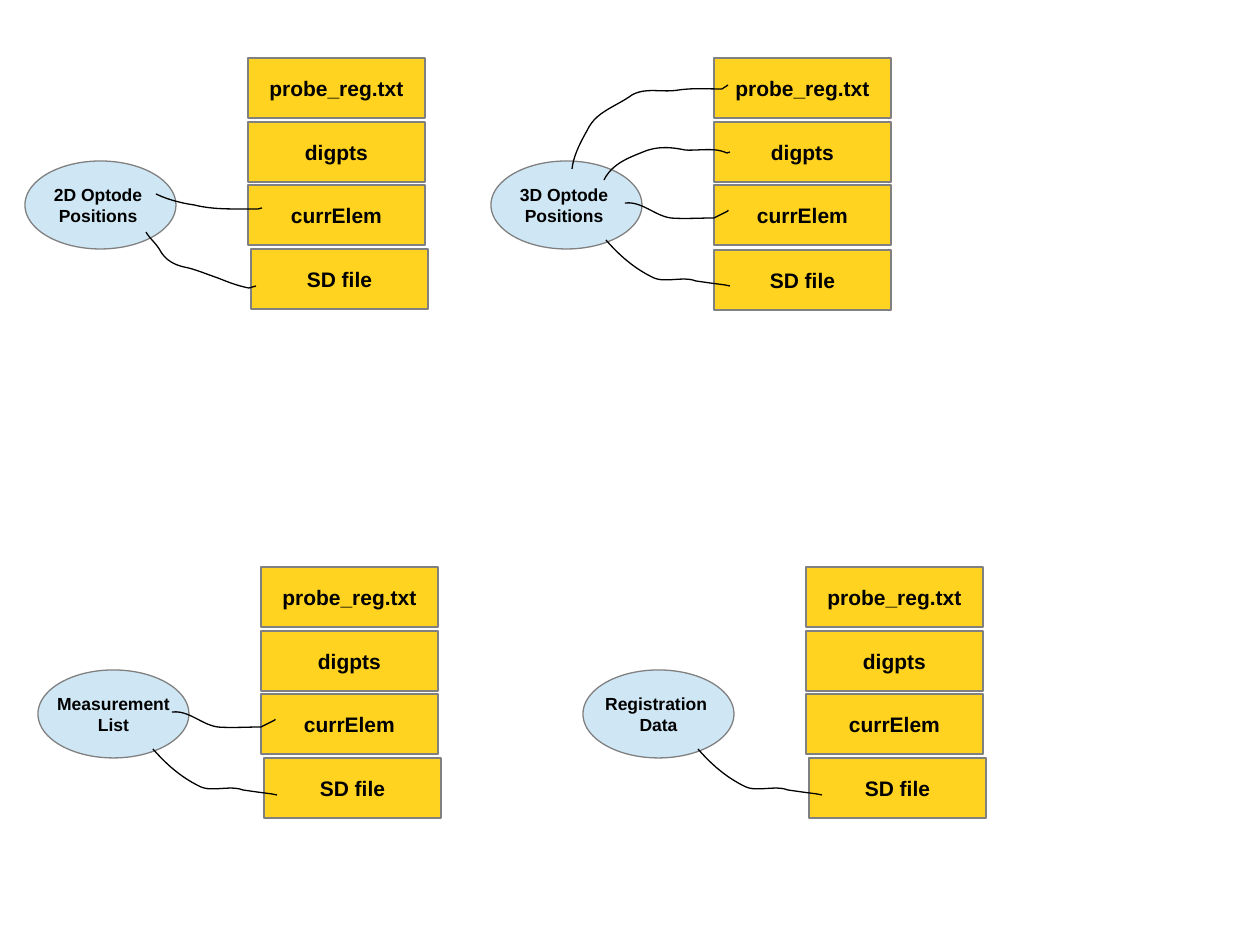
from pptx import Presentation
from pptx.dml.color import RGBColor as Rgb
from pptx.enum.shapes import MSO_SHAPE as Kind
from pptx.enum.text import MSO_ANCHOR as Anchor, PP_ALIGN as Align
from pptx.util import Inches, Pt

SCALE = Inches(1) / 126
COLORS = {"oval": "CFE7F5", "box": "FFD320", "edge": "808080", "ink": "000000"}
OVAL = (151, 88)
BOX = (177, 60)
BOX_X = 223
ROWS = [("currElem", 24), ("digpts", -39), ("probe_reg.txt", -103)]

# Wires, relative to the oval's corner: a start, then curves (3 points) or lines (1)
WIRES = {
    "SD": [(115, 79), [(129, 95), (144, 108), (163, 117)],
           [(175, 122), (192, 115), (205, 120)],
           [(219, 122)], [(234, 124)], [(239, 125)]],
    "probe": [(81, 8), [(83, -8), (91, -21), (98, -34)],
              [(107, -50), (126, -55), (141, -66)],
              [(155, -74), (171, -68), (188, -71)],
              [(202, -73), (215, -72), (231, -72)], [(237, -76)]],
    "digpts": [(113, 19), [(121, 3), (137, -3), (152, -9)],
               [(166, -15), (180, -14), (194, -11)],
               [(208, -10), (223, -14), (236, -8)], [(239, -9)]],
    "curr": [(134, 42), [(151, 40), (164, 55), (180, 57)],
             [(194, 58), (209, 57), (223, 57)], [(237, 50)], [(237, 49)]],
    "curr 2D": [(131, 33), [(141, 38), (155, 42), (169, 44)],
                [(181, 47), (194, 48), (208, 48)], [(233, 48)], [(237, 47)]],
    "SD 2D": [(121, 71), [(125, 78), (132, 83), (136, 91)],
              [(140, 97), (146, 103), (159, 106)],
              [(170, 108), (181, 113), (193, 117)],
              [(203, 121), (213, 125), (224, 127)], [(231, 125)]],
}

# Oval text, oval corner, offset of the SD box, wires
GROUPS = [
    (["2D Optode ", "Positions "], (25, 161), (3, 88), ["curr 2D", "SD 2D"]),
    (["3D Optode ", "Positions "], (491, 161), (0, 89),
     ["SD", "probe", "digpts", "curr"]),
    (["Measurement", "List"], (38, 670), (3, 88), ["SD", "curr"]),
    (["Registration ", "Data"], (583, 670), (3, 88), ["SD"]),
]


def px(num):
    return round(num * SCALE)


def color(name):
    return Rgb.from_string(COLORS[name])


def outline(shape, name):
    shape.shadow.inherit = False
    shape.line.color.rgb = color(name)
    shape.line.width = 0


def write(shape, lines, size=12, bold=True, ink="ink"):
    frame = shape.text_frame
    frame.word_wrap = False
    frame.vertical_anchor = Anchor.MIDDLE
    frame.text = "\n".join(lines)
    for para in frame.paragraphs:
        para.alignment = Align.CENTER
        font = para.font
        font.name, font.size, font.bold = "Arial", Pt(size), bold
        font.color.rgb = color(ink)


def node(slide, kind, at, area, lines, fill, **form):
    shape = slide.shapes.add_shape(kind, *map(px, at + area))
    shape.fill.solid()
    shape.fill.fore_color.rgb = color(fill)
    outline(shape, "edge")
    write(shape, lines, **form)


def bend(a, b, c, d, steps=12):
    """Points along a cubic curve, without its start."""
    for t in (i / steps for i in range(1, steps + 1)):
        u = 1 - t
        yield tuple(u**3 * p + 3 * u * u * t * q + 3 * u * t * t * r + t**3 * s
                    for p, q, r, s in zip(a, b, c, d))


def wire(slide, at, start, *parts):
    dots = [start]
    for part in parts:
        dots += bend(dots[-1], *part) if len(part) == 3 else part
    first, *rest = [(px(at[0] + x), px(at[1] + y)) for x, y in dots]
    line = slide.shapes.build_freeform(*first)
    line.add_line_segments(rest, close=False)
    shape = line.convert_to_shape()
    shape.fill.background()
    outline(shape, "ink")


def group(slide, lines, at, shift, wires):
    x, y = at
    node(slide, Kind.OVAL, at, OVAL, lines, "oval", size=10)
    for text, down in ROWS:
        node(slide, Kind.RECTANGLE, (x + BOX_X, y + down), BOX, [text], "box")
    spot = (x + BOX_X + shift[0], y + shift[1])
    node(slide, Kind.RECTANGLE, spot, BOX, ["SD file"], "box")
    for name in wires:
        wire(slide, at, *WIRES[name])


def main():
    deck = Presentation()
    deck.slide_width, deck.slide_height = px(1260), px(945)
    slide = deck.slides.add_slide(deck.slide_layouts[6])
    for item in GROUPS:
        group(slide, *item)
    deck.save("out.pptx")


if __name__ == "__main__":
    main()
